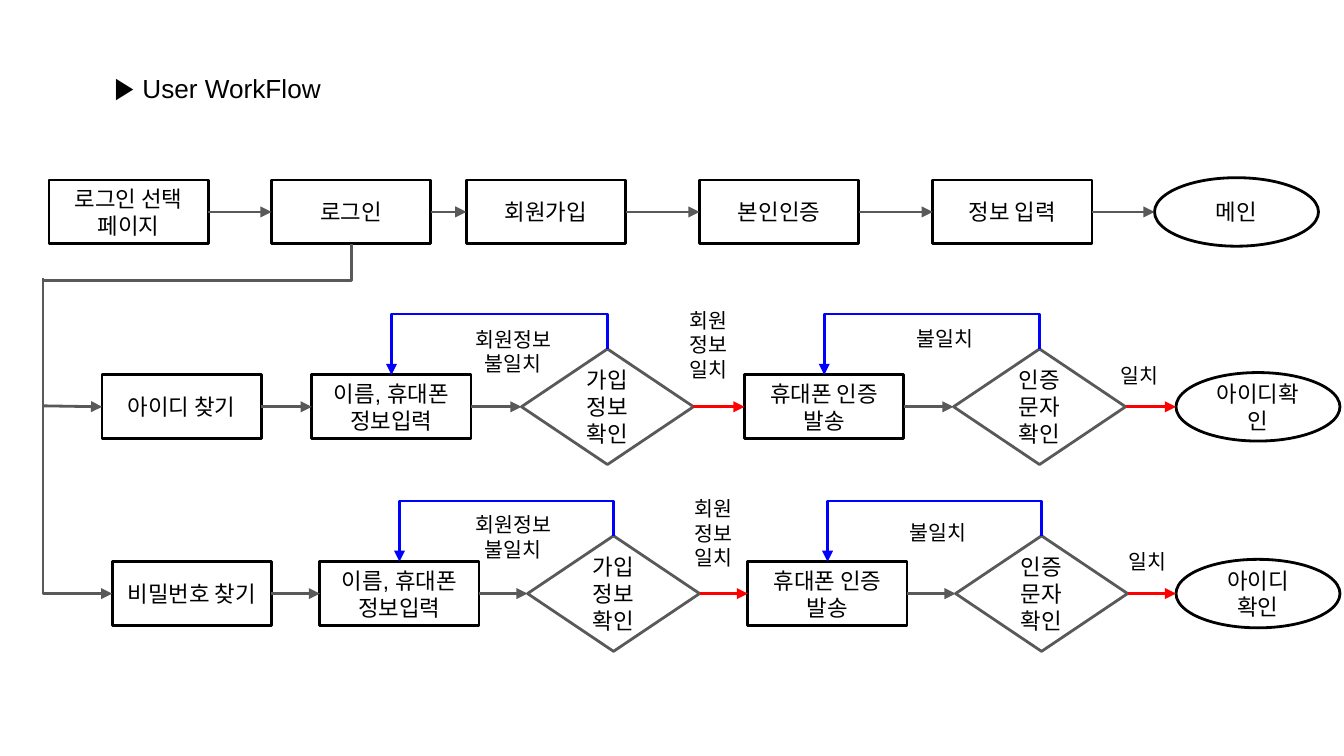
from dataclasses import dataclass
from itertools import pairwise

import pptx
import pptx.dml.color
import pptx.enum.shapes
import pptx.enum.text
import pptx.oxml
import pptx.oxml.ns
import pptx.util

COLUMNS, ROWS = 100, 56.25
SLIDE_WIDTH, SLIDE_HEIGHT = pptx.util.Inches(10), pptx.util.Inches(5.625)
BLACK, GRAY, BLUE, RED = "000000", "595959", "0000FF", "FF0000"
FONT = "Arial"
LINE_WIDTH = 1.5
INSET = 1
LOOP_LIFT = 2.6
SPINE_COLUMN, SPINE_TOP, BEND_ROW = 3.2, 20.7, 20.9
LOGIN_ROW = 15.77

Shapes = pptx.enum.shapes.MSO_SHAPE
Anchor = pptx.enum.text.MSO_ANCHOR
Align = pptx.enum.text.PP_ALIGN
Connectors = pptx.enum.shapes.MSO_CONNECTOR


@dataclass(frozen=True)
class Kind:
    preset: Shapes
    width: float
    height: float
    color: str


BOX = Kind(Shapes.RECTANGLE, 11.85, 4.75, BLACK)
CHECK = Kind(Shapes.DIAMOND, 12.8, 8.6, GRAY)
END = Kind(Shapes.OVAL, 12.2, 5.1, BLACK)


@dataclass(frozen=True)
class Label:
    column: float
    row: float
    width: float
    text: str
    align: Align = Align.CENTER


@dataclass(frozen=True)
class Flow:
    center: float
    columns: tuple[float, ...]
    kinds: tuple[Kind, ...]
    texts: tuple[str, ...]
    labels: tuple[Label, ...] = ()


def branch(center: float, columns: tuple[float, ...], first: str, last: str,
           label_places: tuple[tuple[float, float], ...]) -> Flow:
    texts = (first, "이름, 휴대폰\n정보입력", "가입정보\n확인",
             "휴대폰 인증\n발송", "인증 문자\n확인", last)
    captions = (("회원정보\n불일치", 11.8, Align.CENTER), ("불일치", 11.8, Align.CENTER),
                ("회원정보일치", 5.9, Align.LEFT), ("일치", 5.9, Align.LEFT))
    labels = tuple(Label(column, row, width, text, align) for (column, row), (text, width, align)
                   in zip(label_places, captions))
    return Flow(center, columns, (BOX, BOX, CHECK, BOX, CHECK, END), texts, labels)


LOGIN_FLOW = Flow(LOGIN_ROW, (3.65, 20.2, 34.7, 52.05, 69.4, 85.9), (BOX,) * 5 + (END,),
                  ("로그인 선택 페이지", "로그인", "회원가입", "본인인증", "정보 입력", "메인"))
BRANCHES = (
    branch(30.27, (7.6, 23.2, 38.8, 55.4, 70.95, 87.5), "아이디 찾기", "아이디확인",
           ((32.3, 23.3), (64.4, 23.3), (50.3, 21.9), (82.4, 26.1))),
    branch(44.17, (8.35, 23.8, 39.25, 55.65, 71.1, 87.5), "비밀번호 찾기", "아이디 확인",
           ((32.3, 37.1), (63.9, 37.8), (50.7, 35.9), (83, 39.9))),
)


def x(column: float) -> int:
    return round(SLIDE_WIDTH * column / COLUMNS)


def y(row: float) -> int:
    return round(SLIDE_HEIGHT * row / ROWS)


def rgb(color: str) -> pptx.dml.color.RGBColor:
    return pptx.dml.color.RGBColor.from_string(color)


def write(shape, text: str, size: float, anchor: Anchor, align: Align) -> None:
    frame = shape.text_frame
    frame.text = text
    frame.word_wrap = True
    frame.vertical_anchor = anchor
    frame.margin_left = frame.margin_right = x(INSET)
    frame.margin_top = frame.margin_bottom = y(INSET)
    for paragraph in frame.paragraphs:
        paragraph.alignment = align
        for run in paragraph.runs:
            style(run, size)


def style(run, size: float, bold: bool = False) -> None:
    run.font.name = FONT
    run.font.size = pptx.util.Pt(size)
    run.font.bold = bold
    run.font.color.rgb = rgb(BLACK)


def draw_title(slide) -> None:
    shape = slide.shapes.add_textbox(x(3.4), y(3.6), x(25.6), y(5.7))
    write(shape, "▶ ", 16, Anchor.MIDDLE, Align.CENTER)
    paragraph = shape.text_frame.paragraphs[0]
    paragraph.runs[0].font.bold = True
    run = paragraph.add_run()
    run.text = "User WorkFlow"
    style(run, 14)


def draw_node(slide, kind: Kind, column: float, center: float, text: str):
    shape = slide.shapes.add_shape(kind.preset, x(column), y(center - kind.height / 2),
                                   x(kind.width), y(kind.height))
    shape.shadow.inherit = False
    shape.fill.background()
    shape.line.color.rgb = rgb(kind.color)
    shape.line.width = pptx.util.Pt(LINE_WIDTH)
    write(shape, text, 12, Anchor.MIDDLE, Align.CENTER)
    return shape


def draw_label(slide, label: Label) -> None:
    shape = slide.shapes.add_textbox(x(label.column), y(label.row), x(label.width), y(4.5))
    write(shape, label.text, 11, Anchor.TOP, label.align)


def draw_connector(slide, kind: Connectors, start: tuple[int, int], end: tuple[int, int],
                   color: str, arrow: bool = True):
    connector = slide.shapes.add_connector(kind, *start, *end)
    connector.line.color.rgb = rgb(color)
    connector.line.width = pptx.util.Pt(LINE_WIDTH)
    if arrow:
        line = connector.line._get_or_add_ln()
        line.append(pptx.oxml.parse_xml(
            f'<a:tailEnd {pptx.oxml.ns.nsdecls("a")} type="triangle"/>'))
    connector._element.spPr.append(
        pptx.oxml.parse_xml(f'<a:effectLst {pptx.oxml.ns.nsdecls("a")}/>'))
    return connector


def draw_elbow(slide, start: tuple[int, int], end: tuple[int, int], color: str,
               preset: str, turn: int, flip: bool = False, arrow: bool = True,
               lift: int | None = None) -> None:
    middle_x, middle_y = (start[0] + end[0]) // 2, (start[1] + end[1]) // 2
    half_width, half_height = abs(end[1] - start[1]) // 2, abs(end[0] - start[0]) // 2
    connector = draw_connector(slide, Connectors.ELBOW,
                               (middle_x - half_width, middle_y - half_height),
                               (middle_x + half_width, middle_y + half_height), color, arrow)
    properties = connector._element.spPr
    properties.xfrm.set("rot", str(turn * 60000))
    if flip:
        properties.xfrm.set("flipH", "1")
    geometry = properties.find(pptx.oxml.ns.qn("a:prstGeom"))
    geometry.set("prst", preset)
    if lift is not None:
        share = round(-100000 * lift / (2 * half_width))
        geometry.get_or_add_avLst().append(pptx.oxml.parse_xml(
            f'<a:gd {pptx.oxml.ns.nsdecls("a")} name="adj1" fmla="val {share}"/>'))


def side(shape, right: bool) -> tuple[int, int]:
    return shape.left + shape.width * right, shape.top + shape.height // 2


def top(shape) -> tuple[int, int]:
    return shape.left + shape.width // 2, shape.top


def draw_flow(slide, flow: Flow) -> list:
    nodes = [draw_node(slide, kind, column, flow.center, text)
             for kind, column, text in zip(flow.kinds, flow.columns, flow.texts)]
    for (source, target), (source_kind, target_kind) in zip(pairwise(nodes), pairwise(flow.kinds)):
        connector = draw_connector(slide, Connectors.STRAIGHT, side(source, True),
                                   side(target, False), RED if source_kind is CHECK else GRAY)
        connector.begin_connect(source, 3)
        if target_kind is not END:
            connector.end_connect(target, 1)
        if target_kind is CHECK:
            draw_elbow(slide, top(target), top(source), BLUE, "bentConnector3", 90,
                       lift=y(LOOP_LIFT))
    for label in flow.labels:
        draw_label(slide, label)
    return nodes


def main() -> None:
    presentation = pptx.Presentation()
    presentation.slide_width, presentation.slide_height = SLIDE_WIDTH, SLIDE_HEIGHT
    slide = presentation.slides.add_slide(presentation.slide_layouts[6])
    draw_title(slide)
    login = draw_flow(slide, LOGIN_FLOW)[1]
    find_id, find_password = (draw_flow(slide, flow)[0] for flow in BRANCHES)
    draw_elbow(slide, (top(login)[0], login.top + login.height), (x(SPINE_COLUMN), y(BEND_ROW)),
               GRAY, "bentConnector2", 90, arrow=False)
    draw_elbow(slide, (x(SPINE_COLUMN), y(SPINE_TOP)), side(find_password, False),
               GRAY, "bentConnector2", 270, flip=True)
    entry = draw_connector(slide, Connectors.STRAIGHT, (x(SPINE_COLUMN), y(30.2)),
                           side(find_id, False), GRAY)
    entry.end_connect(find_id, 1)
    presentation.save("out.pptx")


if __name__ == "__main__":
    main()
